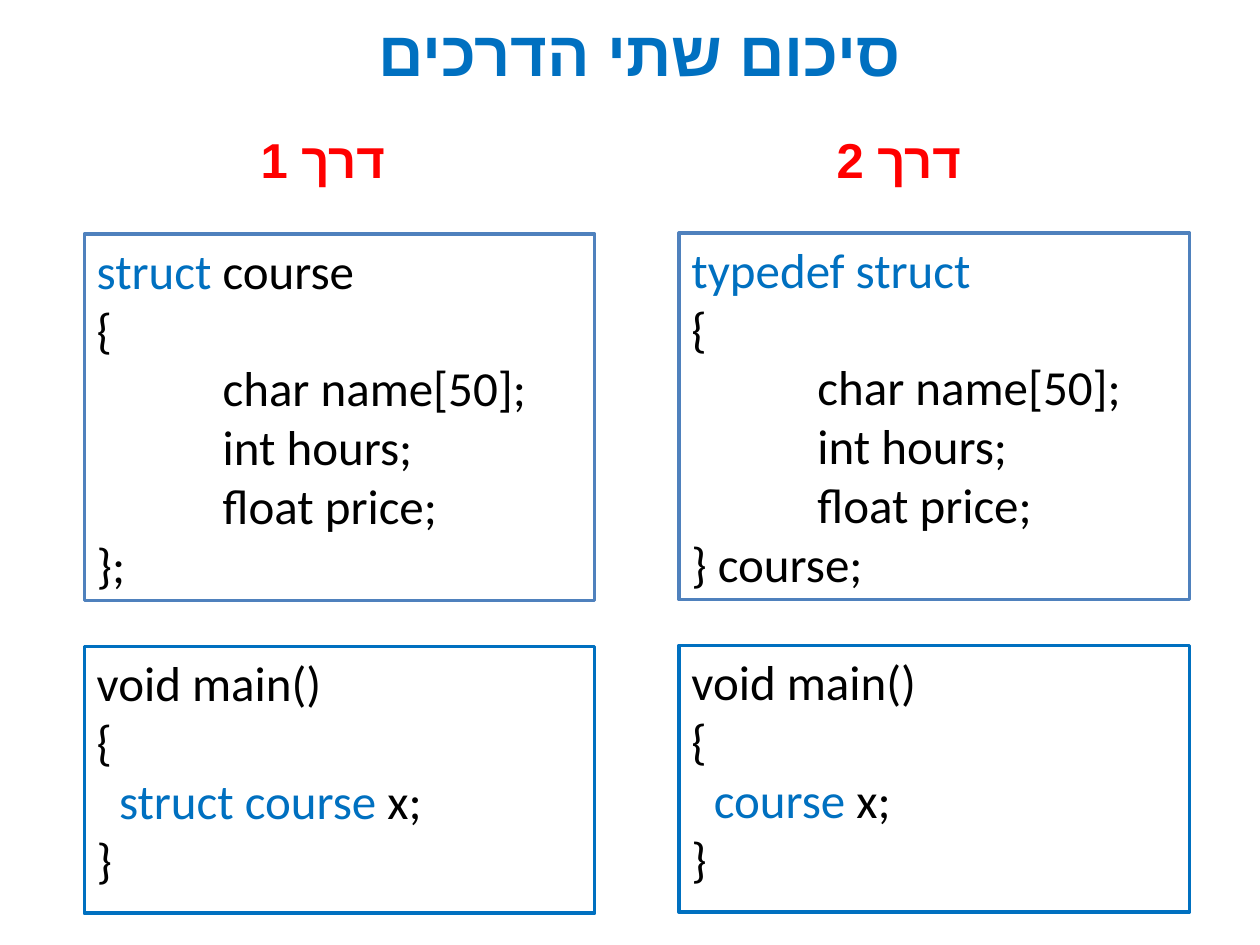
import pptx
import pptx.util
import pptx.dml.color
import pptx.enum.shapes
import pptx.enum.text
import pptx.oxml

Cm = pptx.util.Cm
Align = pptx.enum.text.PP_ALIGN
Anchor = pptx.enum.text.MSO_ANCHOR

theme = dict(blue="0070C0", edge="4F81BD", red="FF0000", ink="000000",
             paper="FFFFFF", code="Calibri", head="Arial",
             title=36, body=28, line=2)


def color(name):
    return pptx.dml.color.RGBColor.from_string(theme[name])


def write(frame, lines, size="body", font="code", bold=False, rtl=False,
          anchor=Anchor.TOP):
    """Fill a frame; each line is an indent in cm and (text, colour) runs."""
    frame.word_wrap = True
    frame.vertical_anchor = anchor
    for i, (indent, runs) in enumerate(lines):
        para = frame.add_paragraph() if i else frame.paragraphs[0]
        para.alignment = Align.CENTER if rtl else Align.LEFT
        props = para._p.get_or_add_pPr()
        if rtl:
            props.set("rtl", "1")
        if indent:
            props.set("marL", str(Cm(indent)))
            props.set("indent", "0")
        for text, tint in runs:
            run = para.add_run()
            run.text = text
            run.font.size = pptx.util.Pt(theme[size])
            run.font.name = theme[font]
            run.font.bold = bold
            run.font.color.rgb = color(tint)
            if rtl:
                script = pptx.oxml.parse_xml(
                    '<a:cs xmlns:a="http://schemas.openxmlformats.org/'
                    'drawingml/2006/main" typeface="%s"/>' % theme["head"])
                run.font._element.append(script)


deck = pptx.Presentation()
deck.slide_width, deck.slide_height = Cm(25.4), Cm(19.05)
slide = deck.slides.add_slide(deck.slide_layouts[6])
shapes = slide.shapes

# Title
title = shapes.add_textbox(Cm(2.49), Cm(0), Cm(20.8), Cm(2.06))
write(title.text_frame, [(0, [("סיכום שתי הדרכים", "blue")])],
      size="title", font="head", bold=True, rtl=True, anchor=Anchor.MIDDLE)

# Struct members shared by both ways
fields = [(2.54, [(text, "ink")])
          for text in ("char name[50];", "int hours;", "float price;")]

# Per way: heading, its left, box left, box top, first line, end, type in use
ways = [
    ("דרך 1", 4.7, 1.7, 4.72,
     [("struct ", "blue"), ("course", "ink")], "};", "struct course "),
    ("דרך 2", 16.31, 13.69, 4.7,
     [("typedef struct", "blue")], "} course;", "course "),
]

for name, tab, left, top, first, end, kind in ways:
    # Heading
    head = shapes.add_textbox(Cm(tab), Cm(2.49), Cm(3.61), Cm(1.45))
    write(head.text_frame, [(0, [(name, "red")])], bold=True, rtl=True)

    # Code boxes: definition above, use below
    start = (0, [("{", "ink")])
    define = [(0, first), start, *fields, (0, [(end, "ink")])]
    use = [(0, [("void main()", "ink")]), start,
           (0.45, [(kind, "blue"), ("x;", "ink")]), (0, [("}", "ink")])]
    for y, high, edge, lines in ((top, 7.39, "edge", define),
                                 (top + 8.31, 5.38, "blue", use)):
        box = shapes.add_shape(pptx.enum.shapes.MSO_SHAPE.RECTANGLE,
                               Cm(left), Cm(y), Cm(10.29), Cm(high))
        box.shadow.inherit = False
        box.fill.solid()
        box.fill.fore_color.rgb = color("paper")
        box.line.color.rgb = color(edge)
        box.line.width = pptx.util.Pt(theme["line"])
        write(box.text_frame, lines)

deck.save("out.pptx")
